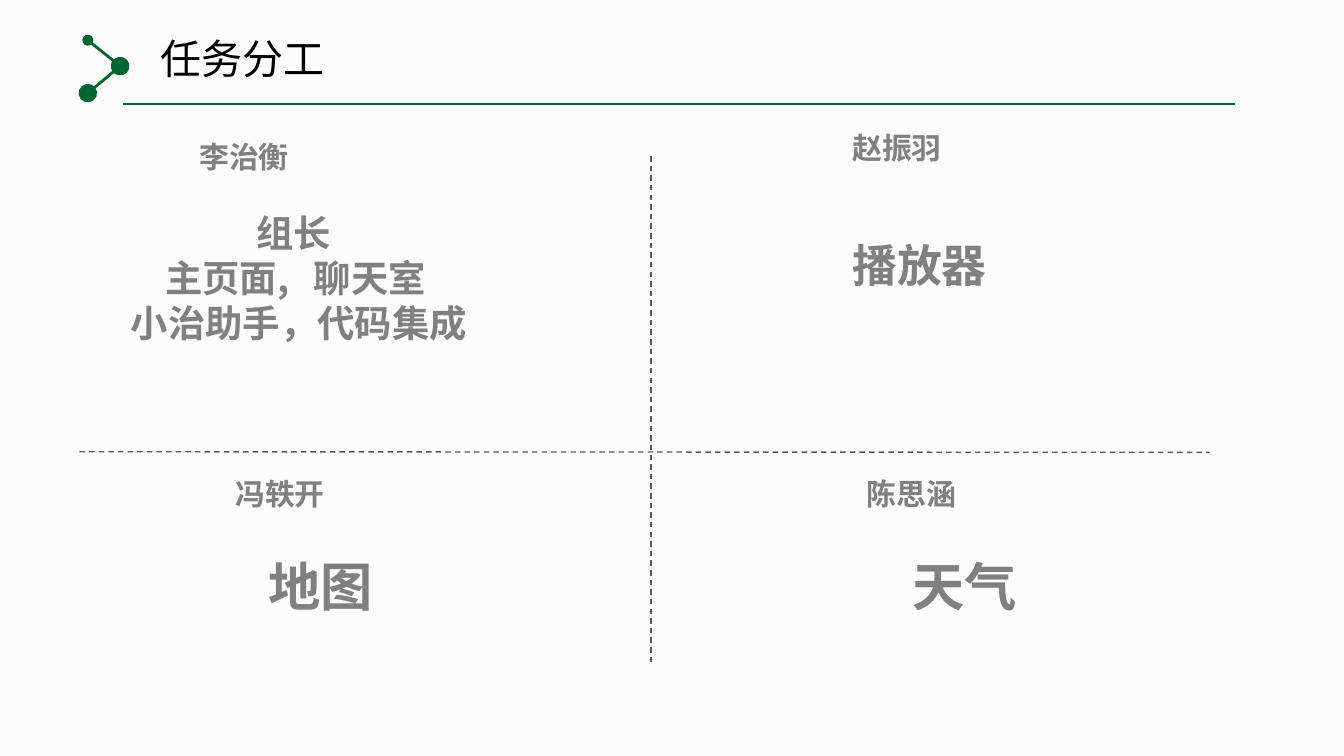
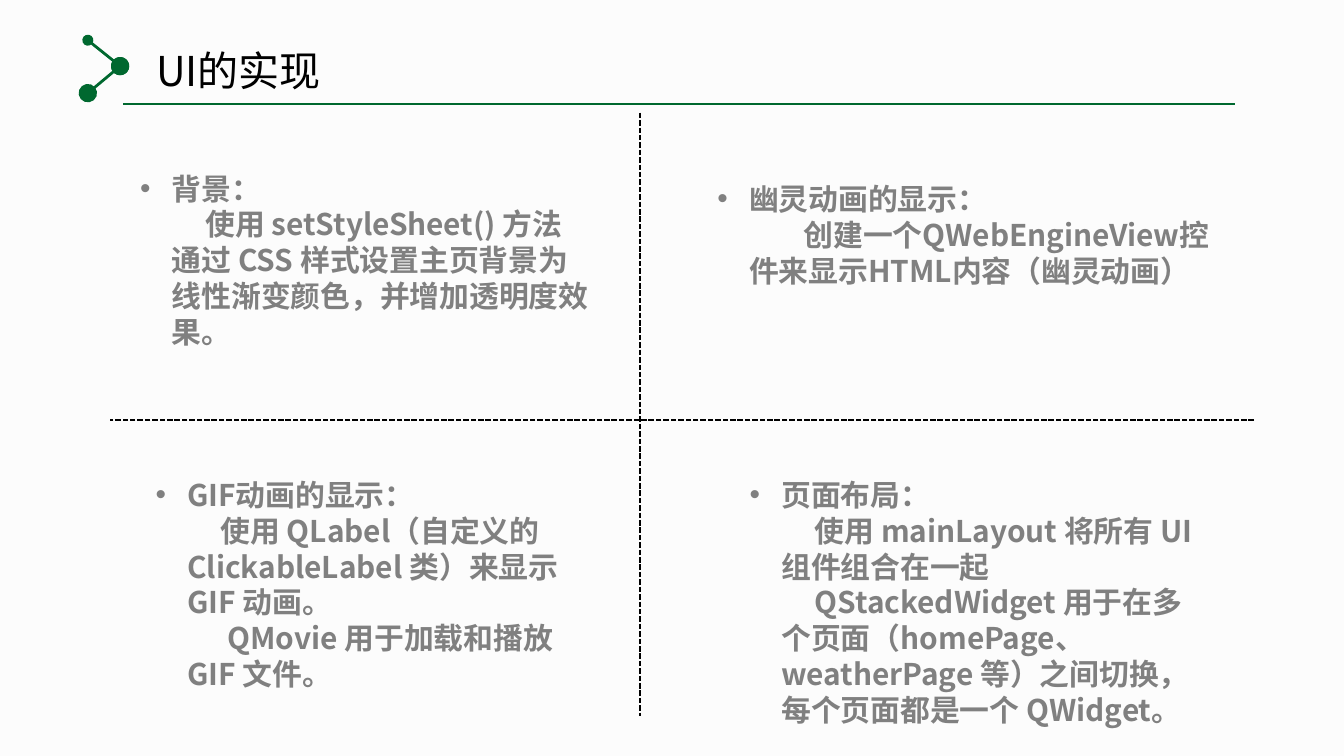
"""Build two slides: the division of tasks and the implementation of the UI."""
from lxml import etree
from pptx import Presentation
from pptx.dml.color import RGBColor
from pptx.enum.dml import MSO_LINE
from pptx.enum.shapes import MSO_CONNECTOR
from pptx.enum.text import MSO_ANCHOR, MSO_AUTO_SIZE, PP_ALIGN
from pptx.oxml.ns import qn
from pptx.util import Cm, Pt

STRAIGHT = MSO_CONNECTOR.STRAIGHT
DASH, SQUARE_DOT = MSO_LINE.DASH, MSO_LINE.SQUARE_DOT
TOP, NO_FIT = MSO_ANCHOR.TOP, MSO_AUTO_SIZE.NONE
LEFT, CENTER = PP_ALIGN.LEFT, PP_ALIGN.CENTER

COLORS = {"background": "FCFCFC", "green": "00682F", "title": "000000",
          "body": "808080", "divider": "595959", "axis": "000000"}
FONT = "Noto Sans CJK SC"
BULLET_INDENT, BULLET_HANG = 1.27, 0.6
COMMA, COMMA_SPACING = ", ", "430"

BRANCHES = [((1.66, 0.76, 2.27, 1.25), ("med", "lg")),
            ((2.27, 1.25, 1.66, 1.76), ("lg", "lg"))]
HEADER_RULE = (2.33, 1.96, 23.34, 1.96)

MEMBERS = [
    ((0.72, 2.62, 10.67, 5.18), "李治衡", 3.05,
     [("组长", 20, 4.13, 19.2), ("主页面, 聊天室", 20, 2.4, 0),
      ("小治助手，代码集成", 20, 1.75, 0)]),
    ((12.94, 2.46, 9.88, 5), "赵振羽", 3.17, [("播放器", 24, 3.17, 38.4)]),
    ((1, 8.99, 11.05, 3.96), "冯轶开", 3.45, [("地图", 28, 4.07, 23)]),
    ((12.93, 8.99, 11.05, 3.96), "陈思涵", 3.45, [("天气", 28, 4.31, 23)]),
]

TOPICS = [
    ((1.98, 2.54, 9.19, 4.11), "背景：",
     [("使用 setStyleSheet() 方法通过 CSS 样式设置主页背景为线性渐变颜色，并增加透明度效果。", 0.63)]),
    ((2.27, 8.33, 9.17, 5.77), "GIF动画的显示：",
     [("使用 QLabel（自定义的 ClickableLabel 类）来显示 GIF 动画。", 0.63),
      ("QMovie 用于加载和播放 GIF 文件。", 0.76)]),
    ((12.89, 2.74, 10.21, 3.43), "幽灵动画的显示：",
     [("创建一个QWebEngineView控件来显示HTML内容（幽灵动画）", 1.03)]),
    ((13.5, 8.33, 9.17, 5.77), "页面布局：",
     [("使用 mainLayout 将所有 UI 组件组合在一起", 0.63),
      ("QStackedWidget 用于在多个页面（homePage、weatherPage 等）之间切换，每个页面都是一个 QWidget。", 0.63)]),
]

SLIDES = [
    ("任务分工", (2.49, 0.53, 4.19, 1.14), "divider", 0.75, DASH,
     [(1.5, 8.54, 22.86, 8.55), (12.3, 2.95, 12.3, 12.55)]),
    ("UI的实现", (1.9, 0.74, 5.21, 1.14), "axis", 1, SQUARE_DOT,
     [(12.09, 2.13, 12.09, 13.54), (23.7, 7.94, 2.08, 7.94)]),
]


def add_line(slide, ends, color, width, dash=None, ovals=()):
    """Draw a straight line, with oval ends of the given sizes."""
    line = slide.shapes.add_connector(STRAIGHT, *map(Cm, ends))
    line.line.color.rgb = RGBColor.from_string(COLORS[color])
    line.line.width = Pt(width)
    if dash:
        line.line.dash_style = dash
    properties = line._element.spPr
    for end, size in zip(("a:headEnd", "a:tailEnd"), ovals):
        etree.SubElement(properties.find(qn("a:ln")), qn(end),
                         type="oval", w=size, len=size)
    etree.SubElement(properties, qn("a:effectLst"))


def fill_text(shape, margins, paragraphs, color, bold, align):
    """Write (text, size, left, first, before) paragraphs into a shape."""
    frame = shape.text_frame
    frame.word_wrap = True
    frame.auto_size = NO_FIT
    frame.vertical_anchor = TOP
    side, top = margins
    frame.margin_left = frame.margin_right = Cm(side)
    frame.margin_top, frame.margin_bottom = Cm(top), 0
    frame.text = "\n".join(entry[0] for entry in paragraphs)
    for paragraph, (text, size, left, first, before) in zip(frame.paragraphs, paragraphs):
        paragraph.alignment = align
        paragraph.line_spacing = 1.0
        paragraph.space_before = Pt(before)
        layout = paragraph._p.get_or_add_pPr()
        layout.set("marL", str(Cm(left)))
        layout.set("indent", str(Cm(first)))
        if first < 0:
            etree.SubElement(layout, qn("a:buFont"), typeface="Arial")
            etree.SubElement(layout, qn("a:buChar"), char="•")
        if COMMA in text:
            paragraph.text, following = text.split(COMMA)
            for part in (COMMA, following):
                paragraph.add_run().text = part
        for run in paragraph.runs:
            run.font.size = Pt(size)
            run.font.bold = bold
            run.font.color.rgb = RGBColor.from_string(COLORS[color])
            run.font.name = FONT
            run_format = run._r.get_or_add_rPr()
            etree.SubElement(run_format, qn("a:ea"), typeface=FONT)
            if run.text == COMMA:
                run_format.set("spc", COMMA_SPACING)


prs = Presentation()
prs.slide_width, prs.slide_height = Cm(25.4), Cm(14.29)
background = prs.slide_master.background.fill
background.solid()
background.fore_color.rgb = RGBColor.from_string(COLORS["background"])
title_only = prs.slide_layouts[5]

pages = []
for heading, place, divider_color, divider_width, dash, dividers in SLIDES:
    slide = prs.slides.add_slide(title_only)
    title = slide.shapes.title
    title.left, title.top, title.width, title.height = map(Cm, place)
    fill_text(title, (0.2, 0.11), [(heading, 22, 0, 0, 0)], "title", False, CENTER)
    for ends, ovals in BRANCHES:
        add_line(slide, ends, "green", 1.5, ovals=ovals)
    add_line(slide, HEADER_RULE, "green", 1)
    for ends in dividers:
        add_line(slide, ends, divider_color, divider_width, dash)
    pages.append(slide)
tasks, interface = pages

for place, member, member_indent, duties in MEMBERS:
    quadrant = tasks.shapes.add_textbox(*map(Cm, place))
    lines = [(member, 16, 0, member_indent, 0)]
    lines += [(duty, size, 0, indent, before) for duty, size, indent, before in duties]
    fill_text(quadrant, (0, 0), lines, "body", True, LEFT)

for place, topic, details in TOPICS:
    quadrant = interface.shapes.add_textbox(*map(Cm, place))
    lines = [(topic, 16, BULLET_INDENT, -BULLET_HANG, 0)]
    lines += [(detail, 16, BULLET_INDENT, indent, 0) for detail, indent in details]
    fill_text(quadrant, (0, 0.68), lines, "body", True, LEFT)

prs.save("out.pptx")
